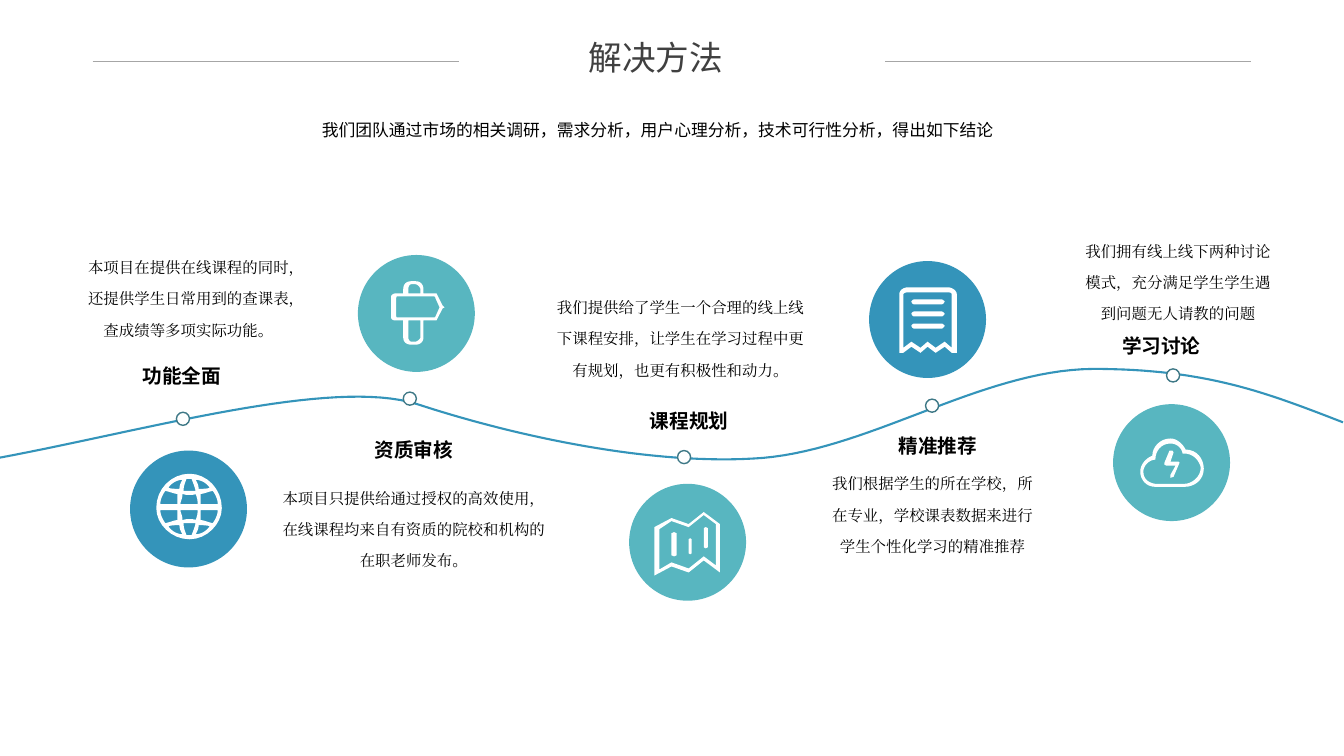
from pptx import Presentation
from pptx.dml.color import RGBColor
from pptx.enum.shapes import MSO_CONNECTOR, MSO_SHAPE
from pptx.enum.text import MSO_ANCHOR, MSO_AUTO_SIZE, PP_ALIGN
from pptx.oxml.ns import qn
from pptx.util import Inches, Pt
from lxml import etree

BLUE = RGBColor(0x34, 0x94, 0xBA)
TEAL = RGBColor(0x58, 0xB6, 0xC0)
RING = RGBColor(0x3E, 0x78, 0x86)
GRAY = RGBColor(0x40, 0x40, 0x40)
RULE = RGBColor(0xA6, 0xA6, 0xA6)
BLACK = RGBColor(0, 0, 0)
WHITE = RGBColor(255, 255, 255)
SANS, SERIF, HEAD = "Noto Sans CJK SC", "TeX Gyre Pagella", "Open Sans"
LEFT, CENTER, RIGHT = PP_ALIGN.LEFT, PP_ALIGN.CENTER, PP_ALIGN.RIGHT

TITLE = "解决方法"
SUBTITLE = "我们团队通过市场的相关调研，需求分析，用户心理分析，技术可行性分析，得出如下结论"
# label, its box and alignment; body text and its box
STEPS = [
    ("功能全面", (1.31, 3.56, 0.99, 0.34), CENTER,
     "本项目在提供在线课程的同时，还提供学生日常用到的查课表，查成绩等多项实际功能。", (0.74, 2.38, 2.26, 1.05)),
    ("资质审核", (3.61, 4.3, 0.99, 0.34), CENTER,
     "本项目只提供给通过授权的高效使用，在线课程均来自有资质的院校和机构的在职老师发布。", (2.66, 4.67, 2.89, 1.05)),
    ("课程规划", (6.34, 4.01, 0.99, 0.34), CENTER,
     "我们提供给了学生一个合理的线上线下课程安排，让学生在学习过程中更有规划，也更有积极性和动力。",
     (5.39, 2.78, 2.72, 1.05)),
    ("精准推荐", (8.8, 4.26, 0.99, 0.34), RIGHT,
     "我们根据学生的所在学校，所在专业，学校课表数据来进行学生个性化学习的精准推荐", (8.11, 4.53, 2.28, 1.05)),
    ("学习讨论", (11.03, 3.26, 1.02, 0.34), LEFT,
     "我们拥有线上线下两种讨论模式，充分满足学生学生遇到问题无人请教的问题", (10.6, 2.22, 2.17, 1.0)),
]
DOTS = [(1.75, 4.09), (4, 3.89), (6.72, 4.47), (9.18, 3.96), (11.57, 3.66)]

# An outline is a list of points (x, y) and Bezier curves (x1, y1, x2, y2, x, y).
WAVE = [(0, 4.54), (1.45, 4.27, 3.29, 3.74, 4.14, 4.01), (4.99, 4.29, 6.34, 4.61, 7.46, 4.55),
        (8.58, 4.5, 9.71, 3.67, 10.84, 3.66), (11.97, 3.66, 12.57, 3.9, 13.32, 4.19)]


def mirror(outline, width=None, height=None):
    """Flip an outline left-right within width and/or top-bottom within height."""
    sizes = (width, height)
    return [tuple(v if sizes[i % 2] is None else sizes[i % 2] - v for i, v in enumerate(step))
            for step in outline]


def text_line(y):
    return [(42, y), (15, y), (13, y, 12, y + 2, 12, y + 2), (12, y + 3, 13, y + 5, 15, y + 5),
            (42, y + 5), (43, y + 5, 45, y + 3, 45, y + 2), (45, y + 2, 43, y, 42, y)]


def map_bar(x1, y1, x2, y2):
    mid = (x1 + x2) / 2
    return [(mid, y1), (x2, y1 + 1), (x2, y2 - 1), (mid, y2), (x1, y2 - 1), (x1, y1 + 1)]


# Icon outlines, in hundredths of an inch
GLOBE_CORNERS = [
    [(26, 6), (24, 9, 23, 12, 23, 15), (20, 15, 15, 15, 12, 14), (15, 9, 21, 6, 26, 6)],
    [(9, 17), (14, 18, 18, 20, 21, 20), (21, 23, 21, 27, 21, 30), (4, 30), (4, 26, 6, 21, 9, 17)],
]
GLOBE_CENTER = [
    [(30, 5), (35, 5), (36, 8, 38, 12, 39, 17), (36, 17, 35, 17, 33, 17), (30, 17, 29, 17, 27, 17),
     (27, 12, 29, 8, 30, 5)],
    [(24, 30), (24, 27, 26, 25, 26, 20), (29, 21, 30, 21, 33, 21), (35, 21, 38, 21, 39, 20),
     (41, 25, 41, 27, 41, 30)],
]
GLOBE_TOP = GLOBE_CENTER + GLOBE_CORNERS + [mirror(c, width=65) for c in GLOBE_CORNERS]
GLOBE = [[(33, 0), (15, 0, 0, 15, 0, 34), (0, 50, 15, 65, 33, 65), (50, 65, 65, 50, 65, 34),
          (65, 15, 50, 0, 33, 0)]] + GLOBE_TOP + [mirror(c, height=66) for c in GLOBE_TOP]
SIGNPOST = [
    [(51, 24), (45, 12), (32, 12), (32, 8), (32, 3, 29, 0, 24, 0), (20, 0), (15, 0, 12, 3, 12, 8),
     (12, 12), (5, 12), (2, 12, 0, 14, 0, 15), (0, 36), (0, 38, 2, 39, 5, 39), (12, 39), (12, 56),
     (12, 60, 15, 63, 20, 63), (24, 63), (29, 63, 32, 60, 32, 56), (32, 39), (45, 39), (51, 27), (53, 26)],
    [(17, 8), (17, 6, 18, 3, 20, 3), (24, 3), (26, 3, 29, 6, 29, 8), (29, 12), (17, 12)],
    [(29, 56), (29, 57, 26, 60, 24, 60), (20, 60), (18, 60, 17, 57, 17, 56), (17, 39), (29, 39)],
    [(44, 35), (44, 36, 42, 36, 42, 36), (6, 36), (5, 36, 5, 35, 5, 33), (5, 18), (5, 17, 5, 15, 6, 15),
     (42, 15), (42, 15, 44, 15, 44, 17), (48, 26)],
]
MAP = [
    [(49, 0), (34, 12), (17, 6), (0, 15), (0, 63), (17, 54), (34, 60), (49, 48), (65, 60), (65, 12)],
    [(61, 53), (49, 44), (34, 56), (17, 50), (5, 57), (5, 17), (17, 9), (34, 15), (49, 3), (61, 12)],
    map_bar(17, 20, 22, 44), map_bar(34, 26, 37, 42), map_bar(49, 15, 53, 36),
]
RECEIPT = [
    [(48, 0), (9, 0), (4, 0, 0, 3, 0, 7), (0, 65), (4, 65), (12, 59), (21, 65), (28, 59), (36, 65),
     (45, 59), (52, 65), (57, 65), (57, 7), (57, 3, 52, 0, 48, 0)],
    [(52, 60), (45, 54), (36, 60), (28, 54), (21, 60), (12, 54), (4, 60), (4, 7), (4, 6, 6, 5, 9, 5),
     (48, 5), (51, 5, 52, 6, 52, 7)],
    *[text_line(y) for y in (12, 24, 36)],
]
CLOUD = [
    [(45, 11), (42, 5, 36, 0, 30, 0), (20, 0, 12, 8, 12, 17), (5, 20, 0, 26, 0, 33), (0, 41, 6, 48, 15, 48),
     (44, 48), (54, 48, 63, 41, 63, 30), (63, 20, 56, 11, 45, 11)],
    [(44, 45), (15, 45), (15, 45, 3, 44, 3, 33), (3, 27, 9, 21, 15, 21), (15, 12, 21, 5, 30, 5),
     (36, 5, 41, 9, 42, 15), (53, 14, 59, 23, 60, 29), (60, 38, 51, 45, 44, 45)],
    [(38, 23), (30, 23), (33, 14), (32, 12), (29, 12), (24, 24), (24, 26), (26, 27), (35, 27), (30, 36),
     (30, 39), (33, 38), (39, 24)],
]
# disc corner, disc colour, icon corner, icon
BADGES = [((1.29, 4.47), BLUE, (1.55, 4.7), GLOBE), ((3.55, 2.53), TEAL, (3.88, 2.79), SIGNPOST),
          ((6.24, 4.8), TEAL, (6.49, 5.08), MAP), ((8.62, 2.59), BLUE, (8.92, 2.85), RECEIPT),
          ((11.04, 4.01), TEAL, (11.31, 4.35), CLOUD)]


def flatten(outline, steps):
    """Turn the curves of an outline into short straight pieces."""
    points = [outline[0]]
    for step in outline[1:]:
        if len(step) == 2:
            points.append(step)
            continue
        x0, y0 = points[-1]
        x1, y1, x2, y2, x3, y3 = step
        for t in (i / steps for i in range(1, steps + 1)):
            a, b, c, d = (1 - t) ** 3, 3 * t * (1 - t) ** 2, 3 * t * t * (1 - t), t ** 3
            points.append((a * x0 + b * x1 + c * x2 + d * x3, a * y0 + b * y1 + c * y2 + d * y3))
    return points


def paint(s, fill=None, line=None, width=1):
    s.shadow.inherit = False
    if fill is None:
        s.fill.background()
    else:
        s.fill.solid()
        s.fill.fore_color.rgb = fill
    if line is None:
        s.line.fill.background()
    else:
        s.line.color.rgb = line
        s.line.width = Pt(width)


def add_outlines(shapes, outlines, left=0, top=0, unit=1.0, closed=True, steps=8):
    builder = None
    for outline in outlines:
        points = [(Inches(left + x * unit), Inches(top + y * unit)) for x, y in flatten(outline, steps)]
        if builder is None:
            builder = shapes.build_freeform(*points[0])
        else:
            builder.move_to(*points[0])
        builder.add_line_segments(points[1:], close=closed)
    return builder.convert_to_shape()


def add_circle(shapes, corner, size, **look):
    paint(shapes.add_shape(MSO_SHAPE.OVAL, *map(Inches, (*corner, size, size))), **look)


def write(s, text, size, font, color=BLACK, align=CENTER, bold=False, spacing=None, wrap=True):
    tf = s.text_frame
    tf.word_wrap, tf.auto_size = wrap, MSO_AUTO_SIZE.SHAPE_TO_FIT_TEXT
    p = tf.paragraphs[0]
    p.alignment, p.line_spacing = align, spacing
    r = p.add_run()
    r.text = text
    for name, value in {"name": font, "size": Pt(size), "bold": bold}.items():
        setattr(r.font, name, value)
    r.font.color.rgb = color
    etree.SubElement(r.font._element, qn("a:ea")).set("typeface", font)
    return p


def add_text(shapes, box, *args, **look):
    return write(shapes.add_textbox(*map(Inches, box)), *args, **look)


def main():
    prs = Presentation()
    prs.slide_width, prs.slide_height = Inches(13.33), Inches(7.5)
    shapes = prs.slides.add_slide(prs.slide_layouts[5]).shapes

    title = shapes.title
    title.left, title.top, title.width, title.height = map(Inches, (4.46, 0.37, 4.09, 0.4))
    tf = title.text_frame
    for side in ("left", "top", "right", "bottom"):
        setattr(tf, f"margin_{side}", 0)
    tf.vertical_anchor = MSO_ANCHOR.MIDDLE
    write(title, TITLE, 24, HEAD, GRAY)
    for x in (0.92, 8.78):
        rule = shapes.add_connector(MSO_CONNECTOR.STRAIGHT, *map(Inches, (x, 0.61, x + 3.63, 0.61)))
        rule.line.color.rgb, rule.line.width = RULE, Pt(0.5)
        etree.SubElement(rule._element.spPr, qn("a:effectLst"))
    p = add_text(shapes, (0.83, 1.04, 11, 0.37), SUBTITLE, 12, SANS, spacing=1.5)
    p._p.get_or_add_pPr().set("indent", str(Inches(0.39)))

    paint(add_outlines(shapes, [WAVE], closed=False, steps=32), line=BLUE, width=1.5)
    for corner in DOTS:
        add_circle(shapes, corner, 0.13, fill=WHITE, line=RING)
    for corner, color, icon_corner, icon in BADGES:
        badge = shapes.add_group_shape().shapes
        add_circle(badge, corner, 1.16, fill=color)
        paint(add_outlines(badge, icon, *icon_corner, unit=0.01), fill=WHITE)
    for label, label_box, align, body, body_box in STEPS:
        add_text(shapes, body_box, body, 11, SERIF, spacing=1.7)
        add_text(shapes, label_box, label, 14, SANS, align=align, bold=True, wrap=False)
    prs.save("out.pptx")


if __name__ == "__main__":
    main()
